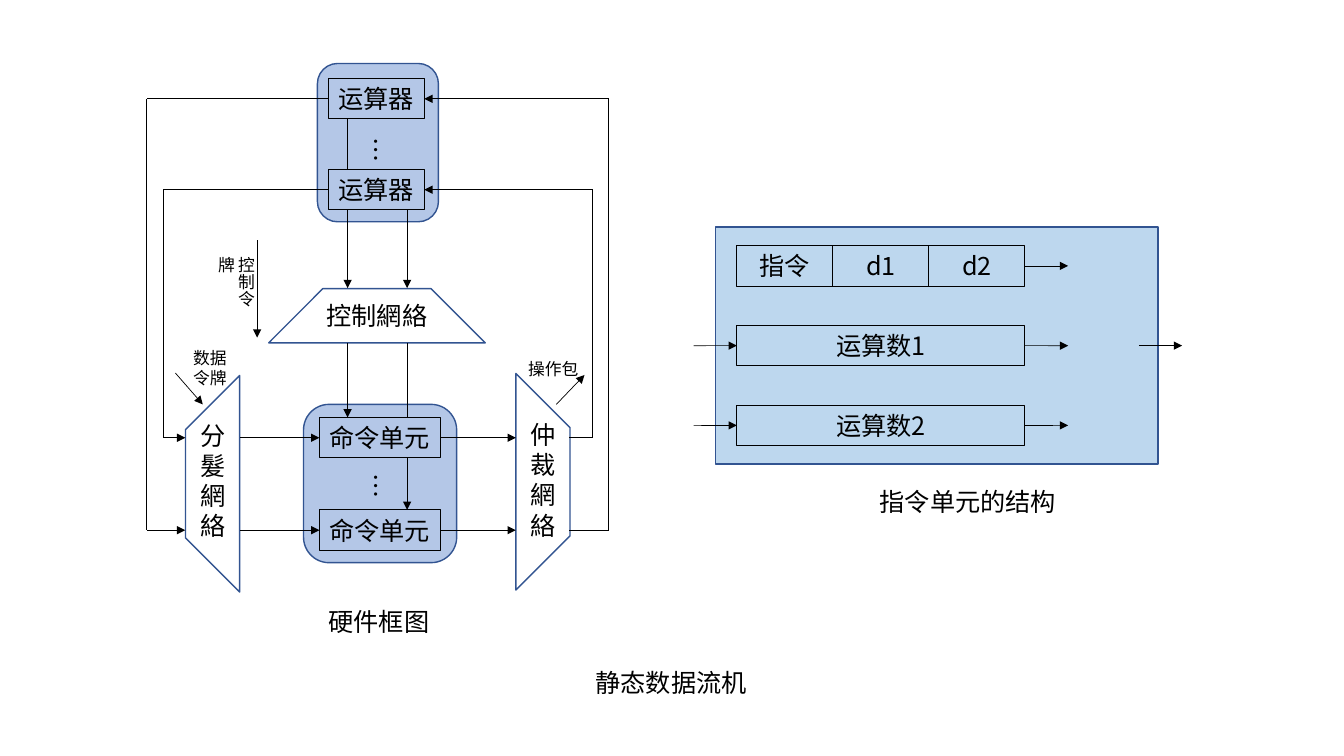
from lxml import etree
from pptx import Presentation
from pptx import util as u
from pptx.dml.color import RGBColor
from pptx.enum import shapes, text
from pptx.oxml.ns import qn

COLOURS = {"ink": "000000", "edge": "325491", "group": "B4C7E7",
           "panel": "BDD7EE", "network": "FFFFFF"}
FONT = "Noto Sans CJK SC"
BOX_HEIGHT = 1.02
HALF = BOX_HEIGHT / 2


def colour(name):
    return RGBColor.from_string(COLOURS[name])


class Diagram:
    """Draws styled elements on one page; all lengths are in centimetres."""

    def __init__(self, page):
        self.page = page

    def add_words(self, shape, words, size=18, align=text.PP_ALIGN.LEFT, wrap=False):
        frame = shape.text_frame
        frame.word_wrap = wrap
        frame.auto_size = text.MSO_AUTO_SIZE.SHAPE_TO_FIT_TEXT
        para = frame.paragraphs[0]
        para.alignment = align
        span = para.add_run()
        span.text = words
        span.font.size = u.Pt(size)
        span.font.name = FONT
        span.font.color.rgb = colour("ink")
        east_asian = etree.SubElement(span.font._element, qn("a:ea"))
        east_asian.set("typeface", FONT)

    def shape(self, kind, left, top, width, height, fill=None, edge="edge",
              weight=1, turn=0):
        shape = self.page.shapes.add_shape(
            kind, u.Cm(left), u.Cm(top), u.Cm(width), u.Cm(height))
        shape.shadow.inherit = False
        shape.rotation = turn
        if fill:
            shape.fill.solid()
            shape.fill.fore_color.rgb = colour(fill)
        else:
            shape.fill.background()
        shape.line.color.rgb = colour(edge)
        shape.line.width = u.Pt(weight)
        return shape

    def box(self, words, left, top, width, align=text.PP_ALIGN.LEFT):
        box = self.shape(shapes.MSO_SHAPE.RECTANGLE, left, top, width, BOX_HEIGHT,
                         edge="ink", weight=0.75)
        self.add_words(box, words, align=align)
        return box

    def network(self, left, top, turn):
        self.shape(shapes.MSO_SHAPE.DIAGONAL_STRIPE, left, top, 3.86, 3.86,
                   "network", turn=turn)

    def label(self, words, left, top, width, height=BOX_HEIGHT, size=18,
              wrap=False, turn=0, vertical=False):
        label = self.page.shapes.add_textbox(
            u.Cm(left), u.Cm(top), u.Cm(width), u.Cm(height))
        label.rotation = turn
        self.add_words(label, words, size, wrap=wrap)
        if vertical:
            label.text_frame._txBody.bodyPr.set("vert", "eaVert")

    def line(self, start, end, arrow=False):
        """Each end is a point (x, y) or a joint (box, side)."""
        joints = [not isinstance(place[0], (int, float)) for place in (start, end)]
        points = [(0, 0) if joined else (u.Cm(place[0]), u.Cm(place[1]))
                  for joined, place in zip(joints, (start, end))]
        line = self.page.shapes.add_connector(
            shapes.MSO_CONNECTOR.STRAIGHT, *points[0], *points[1])
        if joints[0]:
            line.begin_connect(*start)
        if joints[1]:
            line.end_connect(*end)
        line.line.color.rgb = colour("ink")
        line.line.width = u.Pt(0.5)
        if arrow:
            etree.SubElement(line.line._get_or_add_ln(), qn("a:tailEnd"), type="triangle")
        etree.SubElement(line._element.spPr, qn("a:effectLst"))


def draw_hardware(diagram):
    # Groups of units and of commands
    rounded = shapes.MSO_SHAPE.ROUNDED_RECTANGLE
    diagram.shape(rounded, 7.65, 10.19, 3.86, 3.99, "group")
    diagram.shape(rounded, 8.0, 1.6, 3.05, 3.99, "group")
    unit_rows, command_rows = (2.49, 4.78), (11.03, 13.36)
    units = [diagram.box("运算器", 8.28, y - HALF, 2.41) for y in unit_rows]
    commands = [diagram.box("命令单元", 8.05, y - HALF, 3.05) for y in command_rows]
    for top in (3.2, 11.68):
        diagram.label("…", 8.99, top, 0.99, turn=90)

    # Control, arbitration and distribution networks
    diagram.network(7.57, 6.71, 45)
    diagram.network(11.07, 10.21, 135)
    diagram.network(4.11, 10.26, 315)
    diagram.label("控制網絡", 7.98, 7.44, 3.2)
    diagram.label("分髮網絡", 4.8, 10.46, 1.12, 3.33, wrap=True)
    diagram.label("仲裁網絡", 13.11, 10.44, 1.12, 3.33, wrap=True)

    # Control lines between the rows
    near, far = 8.76, 10.26
    for x, top, bottom, arrow in (
            (near, 3.0, 4.27, False), (near, 5.29, 7.26, True),
            (far, 5.29, 7.26, True), (near, 8.64, 10.52, True),
            (far, 8.64, 10.52, False), (far, 11.54, 12.85, True)):
        diagram.line((x, top), (x, bottom), arrow)

    # Data loops: the outer one serves the first unit and the last command
    loops = ((units[0], unit_rows[0], commands[1], command_rows[1], 3.7, 15.34),
             (units[1], unit_rows[1], commands[0], command_rows[0], 4.11, 14.94))
    for unit, unit_y, command, command_y, left, right in loops:
        diagram.line((unit, 1), (left, unit_y))
        diagram.line((left, unit_y), (left, command_y))
        diagram.line((left, command_y), (4.67, command_y), True)
        diagram.line((6.05, command_y), (command, 1), True)
        diagram.line((command, 3), (13.0, command_y), True)
        diagram.line((14.35, command_y), (right, command_y))
        diagram.line((right, command_y), (right, unit_y))
        diagram.line((right, unit_y), (unit, 3), True)

    # Tokens and packets
    diagram.line((6.48, 6.05), (6.48, 8.51), True)
    diagram.line((4.42, 9.4), (5.11, 10.19), True)
    diagram.line((14.02, 10.19), (14.73, 9.45), True)
    diagram.label("控制令牌", 5.56, 6.22, 1.02, 1.98, 12, wrap=True, vertical=True)
    diagram.label("数据令牌", 4.62, 8.64, 1.42, 1.27, 12, wrap=True)
    diagram.label("操作包", 13.06, 8.92, 1.93, 0.76, 12)
    diagram.label("硬件框图", 8.03, 15.16, 3.07)


def draw_command_unit(diagram):
    diagram.shape(shapes.MSO_SHAPE.RECTANGLE, 18.03, 5.72, 11.15, 5.97, "panel")
    left, top, cell, pitch = 18.57, 6.19, 2.42, 2.01
    centre = text.PP_ALIGN.CENTER

    # Instruction row and operand rows
    fields = [diagram.box(words, left + i * cell, top, cell, centre)
              for i, words in enumerate(("指令", "d1", "d2"))]
    operands = [diagram.box(f"运算数{i}", left, top + i * pitch, 3 * cell, centre)
                for i in (1, 2)]

    # Inputs and outputs
    for i, box in enumerate([fields[-1]] + operands):
        y = top + HALF + i * pitch
        diagram.line((box, 3), (26.92, y), True)
        if i:
            diagram.line((17.48, y), (box, 1), True)
    output_y = top + HALF + pitch
    diagram.line((28.7, output_y), (29.79, output_y), True)
    diagram.label("指令单元的结构", 21.92, 12.12, 5.0)


def main():
    deck = Presentation()
    deck.slide_width, deck.slide_height = u.Cm(33.87), u.Cm(19.05)
    page = deck.slides.add_slide(deck.slide_layouts[6])
    diagram = Diagram(page)
    draw_hardware(diagram)
    draw_command_unit(diagram)
    diagram.label("静态数据流机", 14.76, 16.69, 4.32)
    deck.save("out.pptx")


if __name__ == "__main__":
    main()
